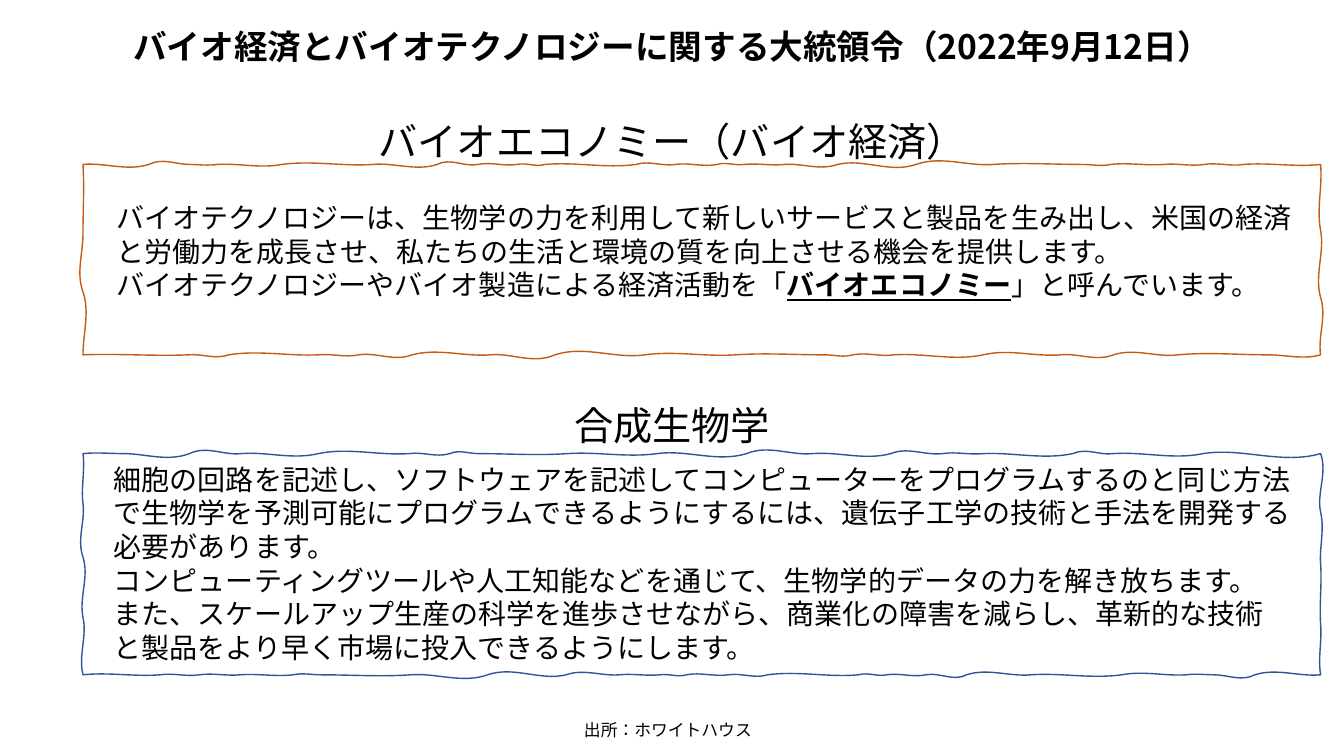
import pptx
import pptx.util
import pptx.dml.color
import pptx.enum.lang
import pptx.enum.text
import pptx.oxml.ns
from lxml import etree

Pt = pptx.util.Pt
qn = pptx.oxml.ns.qn
FONT = "Noto Sans CJK JP"
COLORS = {"text": "000000", "bio": "C55A11", "synth": "2F5597"}

# Content: box (left, top, width, height), size, centred, bold, paragraphs;
# a paragraph is a list of runs, and the odd runs are stressed
TEXTS = [
    ((74.2, 326.7, 855.4, 152.6), 20, False, False, [
        ["細胞の回路を記述し、ソフトウェアを記述してコンピューターをプログラムするのと同じ方法で生物学を予測可能にプログラムできるようにするには、遺伝子工学の技術と手法を開発する必要があります。"],
        ["コンピューティングツールや人工知能などを通じて、生物学的データの力を解き放ちます。"],
        ["また、スケールアップ生産の科学を進歩させながら、商業化の障害を減らし、革新的な技術と製品をより早く市場に投入できるようにします。"]]),
    ((75.8, 139.6, 855.4, 80), 20, False, False, [
        ["バイオテクノロジーは、生物学の力を利用して新しいサービスと製品を生み出し、米国の経済と労働力を成長させ、私たちの生活と環境の質を向上させる機会を提供します。"],
        ["バイオテクノロジーやバイオ製造による経済活動を「", "バイオエコノミー", "」と呼んでいます。"]]),
    ((255.9, 80, 448.5, 41.2), 28, True, False, [["バイオエコノミー（バイオ経済）"]]),
    ((255.9, 283, 448.5, 41.2), 28, True, False, [["合成生物学"]]),
    ((0, 15, 960, 36.4), 24, True, True,
     [["バイオ経済とバイオテクノロジーに関する大統領令（2022年9月12日）"]]),
    ((333.5, 510.5, 287.3, 21.8), 12, True, False, [["出所：ホワイトハウス"]]),
]

# Hand-drawn edges: (distance along the edge, tilt of the handle there)
WAVE = [(0, 1.5), (47, 5), (76, 0), (96, 1), (142, 3), (207, 1.5), (253, 5),
        (282, 2), (310, 1.5), (330, 2), (395, 3), (423, 1.5), (453, 2),
        (472, 1), (501, 1), (539, 4.5), (595, 6.5), (650, 1.5), (714, 0),
        (734, 1.5), (772, 1), (801, 1.5), (829, 1.5), (884, 2)]

# Frames: left, top, height, turn, colour, edges clockwise from the top
FRAMES = [
    (59.3, 117.5, 136, 0, "bio", [
        WAVE,
        [(0, -1.5), (47, -3), (95, -4.5), (136, -2)],
        [(0, -3.5), (37, 0), (102, -2), (148, -5), (186, -1.5), (241, -4.5),
         (305, -1.5), (334, -2), (354, 0), (418, -1.5), (483, -3), (547, -7),
         (593, -1.5), (649, -5), (687, -2), (716, -1), (780, -3.5),
         (809, -1), (884, -1)],
        [(0, 0), (45, 5), (86, 0), (136, 1)]]),
    (59.3, 324, 158, 180, "synth", [
        WAVE,
        [(0, -3.5), (41, -3), (84, -4.5), (122, -1.5), (158, -1.5)],
        [(0, -1), (29, 0), (76, -6), (113, -1.5), (168, -4.5), (233, -1.5),
         (262, -3), (282, 0), (346, -1.5), (410, -3), (474, -6.5),
         (521, -1.5), (577, -5), (614, -1.5), (643, -1), (707, -4.5),
         (736, -1.5), (800, -4.5), (884, -8)],
        [(0, 5), (42, 3), (79, 1), (122, 1), (158, 2)]]),
]
WIDTH = 884


def paint(name):
    return pptx.dml.color.RGBColor.from_string(COLORS[name])


def bend(knots, place):
    """Two handles and an end point for each stretch of an edge."""
    for (a, tilt), (b, after) in zip(knots, knots[1:]):
        third = (b - a) / 3
        yield [tuple(map(Pt, place(*spot))) for spot in
               ((a + third, -tilt), (b - third, after), (b, 0))]


def add_frame(slide, left, top, height, turn, color, edges):
    sides = [lambda along, off: (along, off),
             lambda along, off: (WIDTH + off, along),
             lambda along, off: (WIDTH - along, height + off),
             lambda along, off: (off, height - along)]
    bends = [arc for edge, side in zip(edges, sides) for arc in bend(edge, side)]
    draft = slide.shapes.build_freeform(0, 0)
    draft.add_line_segments([end for _, _, end in bends], close=True)
    frame = draft.convert_to_shape(Pt(left), Pt(top))
    # Turn each straight stretch into a curve
    for line, arc in zip(list(frame._element.iter(qn("a:lnTo"))), bends):
        curve = etree.Element(qn("a:cubicBezTo"))
        for x, y in arc:
            etree.SubElement(curve, qn("a:pt"), x=str(x), y=str(y))
        line.getparent().replace(line, curve)
    frame.rotation = turn
    frame.shadow.inherit = False
    frame.fill.background()
    frame.line.color.rgb = paint(color)
    frame.line.width = Pt(1)


def add_text(slide, box, size, center, bold, paras):
    frame = slide.shapes.add_textbox(*map(Pt, box)).text_frame
    frame.word_wrap = True
    frame.auto_size = pptx.enum.text.MSO_AUTO_SIZE.SHAPE_TO_FIT_TEXT
    frame.text = "\n".join("".join(runs) for runs in paras)
    for para, runs in zip(frame.paragraphs, paras):
        if center:
            para.alignment = pptx.enum.text.PP_ALIGN.CENTER
        para.runs[0].text = runs[0]
        for words in runs[1:]:
            para.add_run().text = words
        for i, run in enumerate(para.runs):
            font = run.font
            font.size = Pt(size)
            font.bold = bold or i % 2 == 1
            font.underline = i % 2 == 1
            font.color.rgb = paint("text")
            font.language_id = pptx.enum.lang.MSO_LANGUAGE_ID.JAPANESE
            font.name = FONT
            # East Asian typeface
            etree.SubElement(run._r.get_or_add_rPr(), qn("a:ea"), typeface=FONT)


def main():
    deck = pptx.Presentation()
    deck.slide_width, deck.slide_height = Pt(960), Pt(540)
    slide = deck.slides.add_slide(deck.slide_layouts[6])
    # Text, then the wavy frames
    for item in TEXTS:
        add_text(slide, *item)
    for item in FRAMES:
        add_frame(slide, *item)
    deck.save("out.pptx")


if __name__ == "__main__":
    main()
